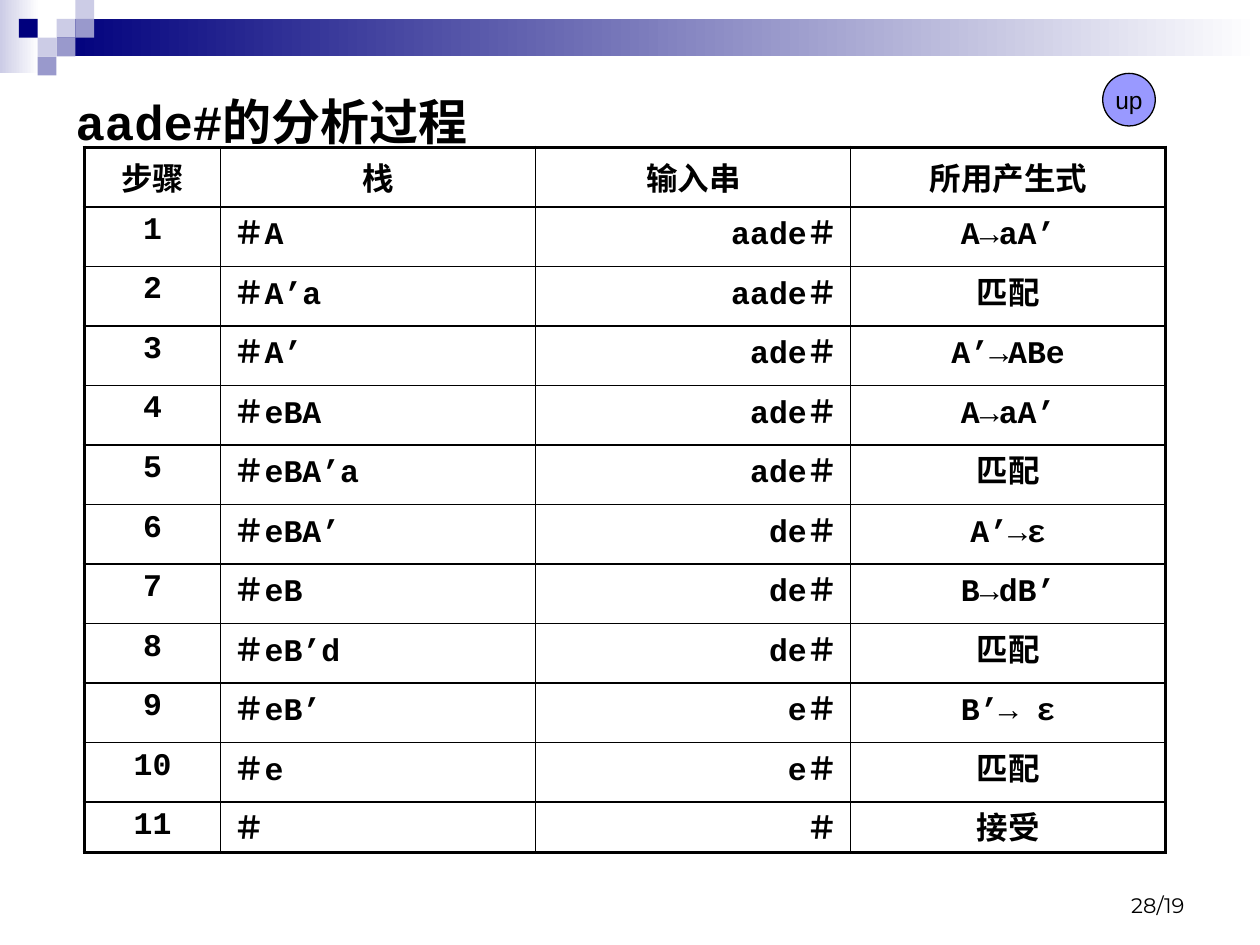
from pptx import Presentation
from pptx import util as u
from pptx.dml.color import RGBColor
from pptx.enum import shapes, text
from pptx.oxml import parse_xml
from pptx.oxml.ns import nsdecls

BLACK = RGBColor(0x00, 0x00, 0x00)
WHITE = RGBColor(0xFF, 0xFF, 0xFF)
NAVY = RGBColor(0x00, 0x00, 0x7D)
LAVENDER = RGBColor(0xCC, 0xCC, 0xE6)
VIOLET = RGBColor(0x99, 0x99, 0xCC)
BUTTON = RGBColor(0x99, 0x99, 0xFF)
LEFT, CENTER, RIGHT = text.PP_ALIGN.LEFT, text.PP_ALIGN.CENTER, text.PP_ALIGN.RIGHT
TOP, MIDDLE, BOTTOM = text.MSO_ANCHOR.TOP, text.MSO_ANCHOR.MIDDLE, text.MSO_ANCHOR.BOTTOM


def write(frame, words, size=18, font="Courier New", bold=True, align=LEFT,
          anchor=TOP, before=0, wrap=True):
    """Put one formatted paragraph into a text frame."""
    frame.word_wrap = wrap
    frame.vertical_anchor = anchor
    paragraph = frame.paragraphs[0]
    paragraph.alignment = align
    paragraph.space_before = u.Pt(before)
    run = paragraph.add_run()
    run.text = words
    run.font.size = u.Pt(size)
    run.font.name = font
    run.font.bold = bold
    run.font.color.rgb = BLACK


def add_filled(kind, left, top, width, height, *colors):
    """Add a borderless shape with a solid fill, or a gradient for two colours."""
    shape = slide.shapes.add_shape(kind, u.Cm(left), u.Cm(top), u.Cm(width), u.Cm(height))
    shape.shadow.inherit = False
    shape.line.fill.background()
    if len(colors) == 1:
        shape.fill.solid()
        shape.fill.fore_color.rgb = colors[0]
    else:
        shape.fill.gradient()
        shape.fill.gradient_angle = 0
        for position, (stop, color) in enumerate(zip(shape.fill.gradient_stops, colors)):
            stop.position = position
            stop.color.rgb = color
    return shape


presentation = Presentation()
presentation.slide_width = u.Cm(25.4)
presentation.slide_height = u.Cm(19.05)
slide = presentation.slides.add_slide(presentation.slide_layouts[5])

# Header band and its mosaic of squares
RECTANGLE = shapes.MSO_SHAPE.RECTANGLE
SQUARE = 0.38
add_filled(RECTANGLE, 0, 0, 0.79, 1.47, LAVENDER, WHITE)
add_filled(RECTANGLE, 1.14, 0.38, 24.26, 0.75, NAVY, WHITE)
mosaic = [(3, 1, LAVENDER), (4, 0, LAVENDER), (4, 1, VIOLET), (2, 2, LAVENDER),
          (1, 1, NAVY), (3, 2, VIOLET), (2, 3, VIOLET)]
for column, row, color in mosaic:
    add_filled(RECTANGLE, column * SQUARE, row * SQUARE, SQUARE, SQUARE, color)

# Title and page number
title = slide.shapes.title
title.left, title.top, title.width, title.height = u.Cm(1.27), u.Cm(1.27), u.Cm(22.86), u.Cm(2.34)
write(title.text_frame, "aade#的分析过程", size=28, anchor=MIDDLE)
page_number = slide.shapes.add_textbox(u.Cm(18.2), u.Cm(17.35), u.Cm(5.93), u.Cm(1.27))
write(page_number.text_frame, "28/19", size=12, font="Montserrat", bold=False,
      align=RIGHT, anchor=BOTTOM)

# Table grid with headings and step numbers
headings = ["步骤", "栈", "输入串", "所用产生式"]
steps = [
    ("＃A", "aade＃", "A→aA’"),
    ("＃A’a", "aade＃", "匹配"),
    ("＃A’", "ade＃", "A’→ABe"),
    ("＃eBA", "ade＃", "A→aA’"),
    ("＃eBA’a", "ade＃", "匹配"),
    ("＃eBA’", "de＃", "A’→ε"),
    ("＃eB", "de＃", "B→dB’"),
    ("＃eB’d", "de＃", "匹配"),
    ("＃eB’", "e＃", "B’→ ε"),
    ("＃e", "e＃", "匹配"),
    ("＃", "＃", "接受"),
]
TABLE_LEFT, TABLE_TOP, ROW_HEIGHT, LAST_HEIGHT = 1.7, 2.97, 1.2, 0.98
STEP_WIDTH, COLUMN_WIDTH = 2.75, 6.35
last_row, last_column = len(steps), len(headings) - 1
table = slide.shapes.add_table(
    last_row + 1, last_column + 1, u.Cm(TABLE_LEFT), u.Cm(TABLE_TOP),
    u.Cm(STEP_WIDTH + last_column * COLUMN_WIDTH),
    u.Cm(last_row * ROW_HEIGHT + LAST_HEIGHT)).table
table.first_row = table.horz_banding = False
for index, column in enumerate(table.columns):
    column.width = u.Cm(COLUMN_WIDTH if index else STEP_WIDTH)
for index, row in enumerate(table.rows):
    row.height = u.Cm(LAST_HEIGHT if index == last_row else ROW_HEIGHT)
    for number, cell in enumerate(row.cells):
        outer = {"L": number == 0, "R": number == last_column,
                 "T": index == 0, "B": index == last_row}
        for side, is_outer in outer.items():
            width = u.Pt(2.25 if is_outer else 1)
            cell._tc.get_or_add_tcPr().append(parse_xml(
                f'<a:ln{side} {nsdecls("a")} w="{width}"><a:solidFill>'
                f'<a:srgbClr val="{BLACK}"/></a:solidFill></a:ln{side}>'))
        cell.fill.background()
        if index == 0:
            write(cell.text_frame, headings[number], align=CENTER)
        elif number == 0:
            write(cell.text_frame, str(index), align=CENTER)

# Round button
button = add_filled(shapes.MSO_SHAPE.OVAL, 22.23, 1.48, 1.06, 1.06, BUTTON)
button.line.color.rgb = BLACK
button.line.width = u.Pt(0.75)
write(button.text_frame, "up", size=14, font="Arial", bold=False, align=CENTER,
      anchor=MIDDLE, wrap=False)

# Entries laid over the grid
for index, entries in enumerate(steps, start=1):
    for number, (words, align) in enumerate(zip(entries, (LEFT, RIGHT, CENTER))):
        entry = slide.shapes.add_textbox(
            u.Cm(TABLE_LEFT + STEP_WIDTH + number * COLUMN_WIDTH),
            u.Cm(TABLE_TOP + index * ROW_HEIGHT), u.Cm(COLUMN_WIDTH), u.Cm(ROW_HEIGHT))
        write(entry.text_frame, words, align=align, before=3.6)

presentation.save("out.pptx")
